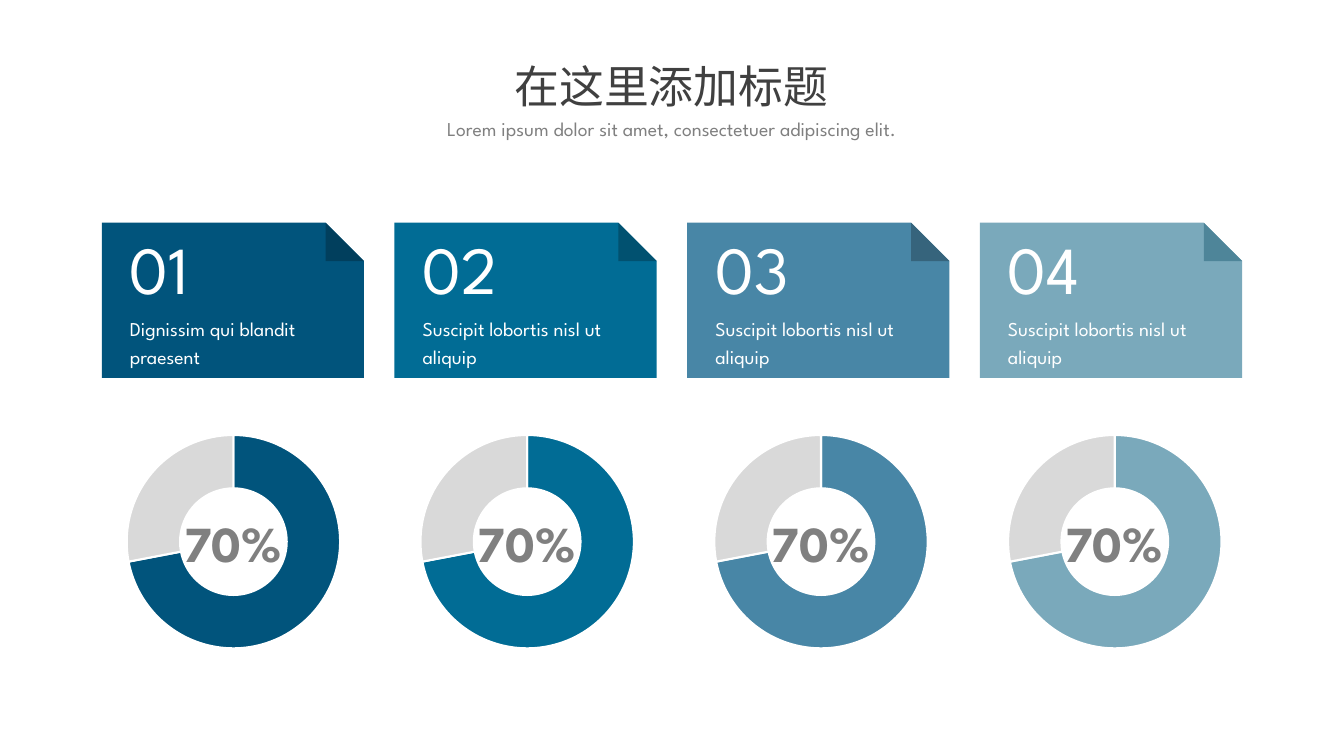
import pptx
import pptx.util
import pptx.chart.data
import pptx.dml.color
import pptx.enum.chart
import pptx.enum.shapes
import pptx.enum.text
import pptx.oxml
import pptx.oxml.ns

Inches = pptx.util.Inches
ALIGN = pptx.enum.text.PP_ALIGN
SPARTAN = "League Spartan"
COLORS = {
    "white": "FFFFFF", "title": "404040", "gray": "808080", "rest": "D9D9D9",
    "navy": "01547C", "teal": "016C95", "steel": "4886A6", "mist": "7AA9BB",
    "navy fold": "013F5D", "teal fold": "015170",
    "steel fold": "36647C", "mist fold": "4E8599",
}
CARDS = [
    ("navy", "Dignissim qui blandit praesent", 2.1),
    ("teal", "Suscipit lobortis nisl ut aliquip", 2.1),
    ("steel", "Suscipit lobortis nisl ut aliquip", 2.28),
    ("mist", "Suscipit lobortis nisl ut aliquip", 2.1),
]
TOP, WIDE, HIGH, FOLD = 2.21, 2.6, 1.54, 0.38


def paint(part, name):
    part.fill.solid()
    part.fill.fore_color.rgb = pptx.dml.color.RGBColor.from_string(COLORS[name])


def write(text, box, size, color, face=SPARTAN, wrap=False, bold=False,
          align=ALIGN.LEFT, line=1.0):
    frame = slide.shapes.add_textbox(*map(Inches, box)).text_frame
    frame.word_wrap = wrap
    frame.auto_size = pptx.enum.text.MSO_AUTO_SIZE.SHAPE_TO_FIT_TEXT
    para = frame.paragraphs[0]
    para.alignment = align
    para.line_spacing = line
    run = para.add_run()
    run.text = text
    style = {"name": face, "size": pptx.util.Pt(size), "bold": bold}
    for key, value in style.items():
        setattr(run.font, key, value)
    paint(run.font, color)
    east = pptx.oxml.parse_xml(
        f'<a:ea {pptx.oxml.ns.nsdecls("a")} typeface="{face}"/>')
    run.font._element.append(east)


deck = pptx.Presentation()
deck.slide_width = Inches(13.33)
deck.slide_height = Inches(7.5)
slide = deck.slides.add_slide(deck.slide_layouts[6])

for i, (color, text, width) in enumerate(CARDS):
    left = 1.01 + 2.903 * i
    right, base = left + WIDE, TOP + HIGH
    pen = slide.shapes.build_freeform(Inches(left), Inches(TOP))
    edge = [(right - FOLD, TOP), (right, TOP + FOLD), (right, base), (left, base)]
    pen.add_line_segments([(Inches(x), Inches(y)) for x, y in edge])
    card = pen.convert_to_shape()
    fold = slide.shapes.add_shape(
        pptx.enum.shapes.MSO_SHAPE.RIGHT_TRIANGLE,
        *map(Inches, (right - FOLD, TOP, FOLD, FOLD)))
    for shape, tone in ((card, color), (fold, color + " fold")):
        paint(shape, tone)
        shape.line.fill.background()
        shape.shadow.inherit = False
    write(f"{i + 1:02}", (left + 0.18, TOP, 0.95, 0.91), 48, "white")
    write(text, (left + 0.18, 3.05, width, 0.64), 14, "white", wrap=True, line=1.2)

    data = pptx.chart.data.CategoryChartData()
    data.categories = ["1", "2"]
    data.add_series("Series 1", (72, 28))
    spot = 0.49 + 2.914 * i
    chart = slide.shapes.add_chart(
        pptx.enum.chart.XL_CHART_TYPE.DOUGHNUT,
        *map(Inches, (spot, 4.16, 3.65, 2.43)), data).chart
    chart.has_legend = False
    chart.has_title = False
    chart.font.name = SPARTAN
    chart.font.size = pptx.util.Pt(10)
    plot = chart.plots[0]
    plot.vary_by_categories = True
    for j, tone in enumerate((color, "rest")):
        ring = plot.series[0].points[j].format
        paint(ring, tone)
        paint(ring.line, "white")
        ring.line.width = pptx.util.Pt(1.5)
    hole = plot._element.find(pptx.oxml.ns.qn("c:holeSize"))
    hole.set("val", "75")
    area = chart._chartSpace.chart.plotArea
    for old in area.findall(pptx.oxml.ns.qn("c:layout")):
        area.remove(old)
    place = {"x": 0.21, "y": 0.06, "w": 0.58, "h": 0.88}
    marks = "".join(f'<c:{key} val="{value}"/>' for key, value in place.items())
    area.insert(0, pptx.oxml.parse_xml(
        f'<c:layout {pptx.oxml.ns.nsdecls("c")}><c:manualLayout>'
        '<c:layoutTarget val="inner"/><c:xMode val="edge"/><c:yMode val="edge"/>'
        f'{marks}</c:manualLayout></c:layout>'))
    write("70%", (spot + 1.22, 5.03, 1.2, 0.71), 36, "gray",
          bold=True, align=ALIGN.CENTER)

write("在这里添加标题", (4.99, 0.53, 3.34, 0.64), 32, "title",
      face="Noto Sans CJK SC", align=ALIGN.CENTER)
write("Lorem ipsum dolor sit amet, consectetuer adipiscing elit.",
      (3.9, 1.11, 5.53, 0.34), 14, "gray", align=ALIGN.CENTER)

deck.save("out.pptx")
